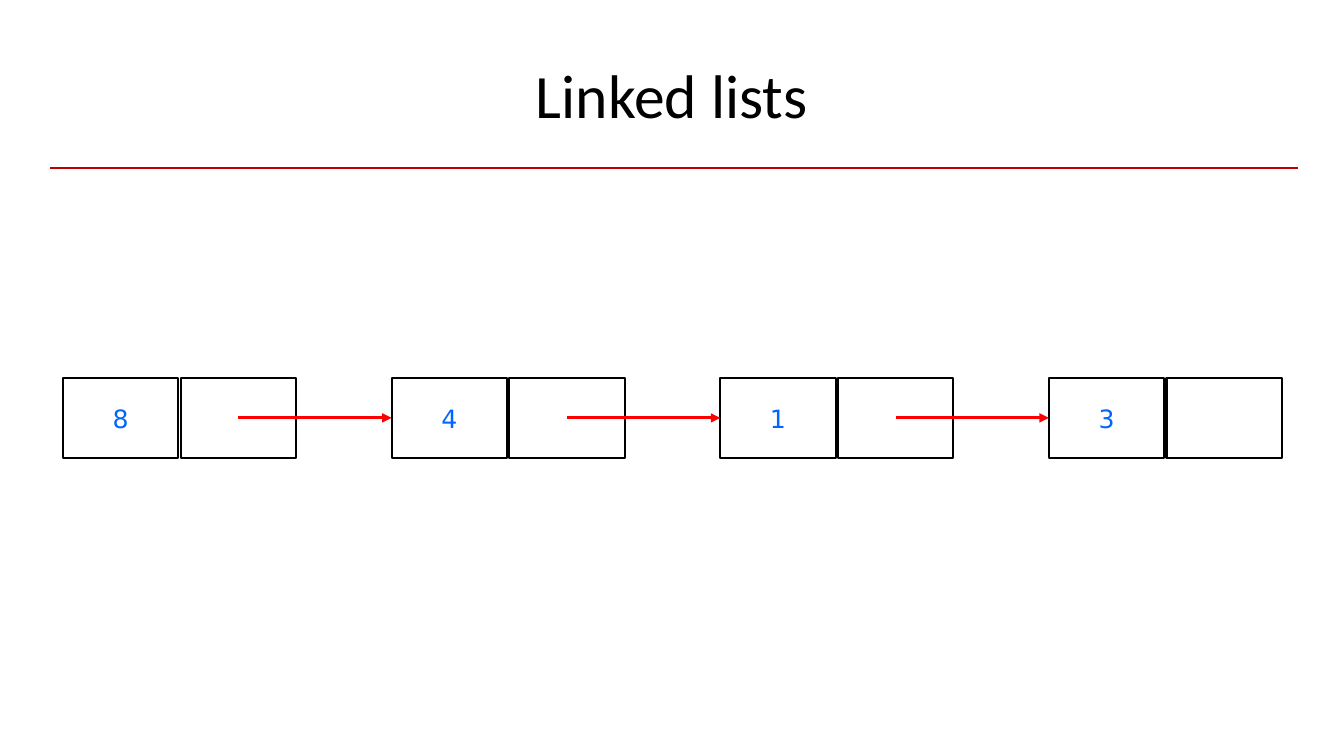
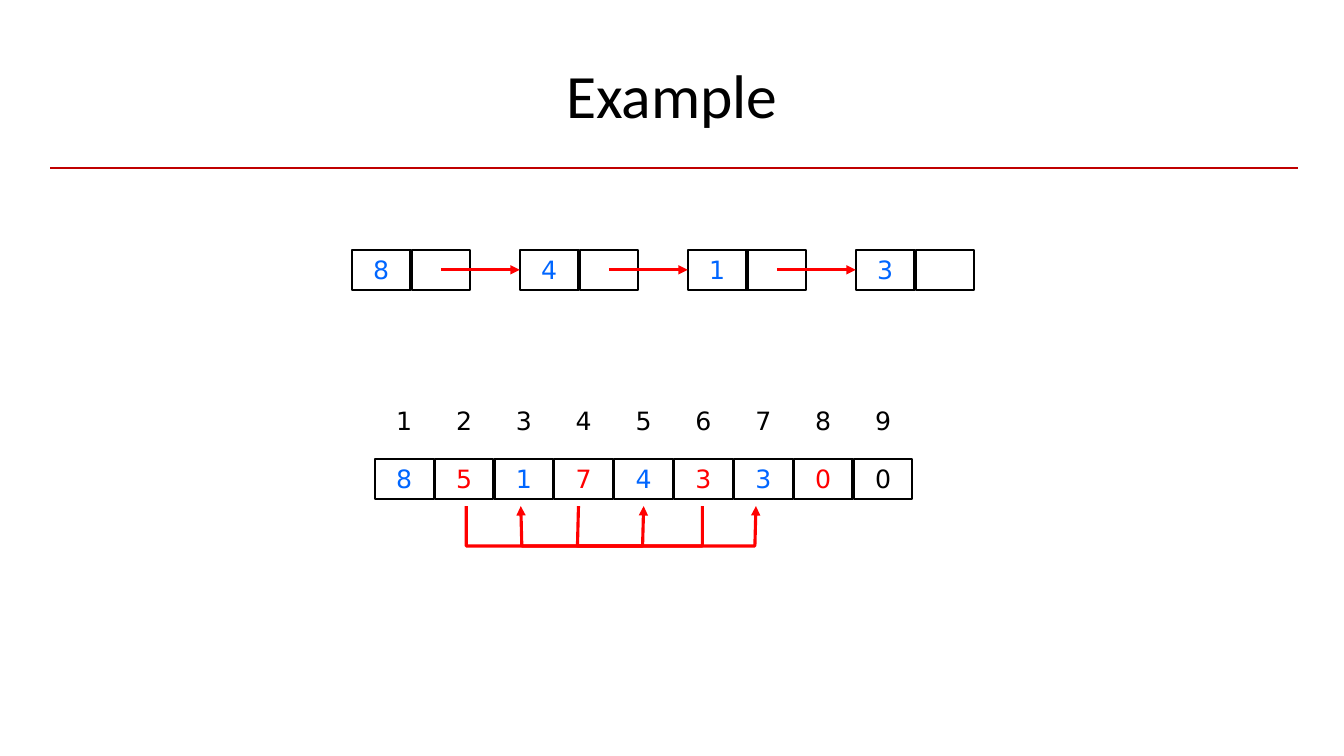
"""Build two slides on linked lists and their storage in an array."""
from dataclasses import dataclass
from itertools import cycle

from lxml.etree import SubElement
from pptx import Presentation
from pptx.dml.color import RGBColor
from pptx.enum.shapes import MSO_CONNECTOR, MSO_SHAPE
from pptx.enum.text import MSO_ANCHOR, PP_ALIGN
from pptx.oxml.ns import qn
from pptx.util import Pt

PX = 9525


@dataclass(frozen=True)
class Theme:
    """Colours, fonts, type sizes and line widths of the deck."""
    ink: RGBColor = RGBColor(0x00, 0x00, 0x00)
    value: RGBColor = RGBColor(0x00, 0x66, 0xFF)
    link: RGBColor = RGBColor(0xFF, 0x00, 0x00)
    rule: RGBColor = RGBColor(0xC0, 0x00, 0x00)
    title_font: str = "Calibri"
    cell_font: str = "DejaVu Sans"
    title_size: Pt = Pt(44)
    cell_size: Pt = Pt(18)
    rule_width: Pt = Pt(2)
    cell_width: Pt = Pt(1.5)
    link_width: Pt = Pt(2.25)


THEME = Theme()
CELL_FRAME = {"word_wrap": True, "vertical_anchor": MSO_ANCHOR.MIDDLE,
              "margin_left": 0, "margin_right": 0, "margin_top": 0, "margin_bottom": 0}


def px(*lengths):
    """Turn whole pixels into EMU."""
    return [n * PX for n in lengths]


def apply(target, values):
    """Set every named attribute on the target."""
    for name, value in values.items():
        setattr(target, name, value)


def write(sp, text, color, font=THEME.cell_font, size=THEME.cell_size):
    """Write one centred line in a shape."""
    tf = sp.text_frame
    apply(tf, CELL_FRAME)
    p = tf.paragraphs[0]
    p.alignment = PP_ALIGN.CENTER
    r = p.add_run()
    r.text = text
    apply(r.font, {"name": font, "size": size})
    r.font.color.rgb = color


def stroke(sp, color, width, arrow=False):
    """Give a shape a plain line, with an arrowhead at its end if asked."""
    sp.line.color.rgb = color
    sp.line.width = width
    if arrow:
        ln = sp.line._get_or_add_ln()
        SubElement(ln, qn("a:tailEnd"), type="triangle")


def add_label(shapes, box, text, color, **style):
    """Add text without an outline."""
    write(shapes.add_textbox(*px(*box)), text, color, **style)


def add_cell(shapes, box, text="", color=THEME.ink):
    """Add an outlined cell and return it."""
    sp = shapes.add_shape(MSO_SHAPE.RECTANGLE, *px(*box))
    sp.shadow.inherit = False
    sp.fill.background()
    stroke(sp, THEME.ink, THEME.cell_width)
    if text:
        write(sp, text, color)
    return sp


def add_line(shapes, ends, color, width, arrow=False):
    """Add a straight line and return it."""
    cn = shapes.add_connector(MSO_CONNECTOR.STRAIGHT, *px(*ends))
    stroke(cn, color, width, arrow)
    SubElement(cn._element.spPr, qn("a:effectLst"))
    return cn


def add_list(s, values, left, top, pitch, step, width, height):
    """Add a linked list of two-cell nodes joined by arrows."""
    shapes = s.shapes.add_group_shape().shapes
    lefts = [left + i * pitch for i in range(len(values))]
    heads = []
    for x, value in zip(lefts, values):
        heads.append(add_cell(shapes, (x, top, width, height), value, THEME.value))
        add_cell(shapes, (x + step, top, width, height))
    y = top + height // 2
    for x, following, head in zip(lefts, lefts[1:], heads[1:]):
        ends = (x + step + width // 2, y, following, y)
        cn = add_line(shapes, ends, THEME.link, THEME.link_width, arrow=True)
        cn.end_connect(head, 1)


def add_array(s, entries, left, top, label_top, pitch, width, height):
    """Add numbered cells that alternate values and links, ending in a plain one."""
    shapes = s.shapes.add_group_shape().shapes
    colors = cycle((THEME.value, THEME.link))
    for i, (entry, color) in enumerate(zip(entries, colors), start=1):
        x = left + (i - 1) * pitch
        color = THEME.ink if i == len(entries) else color
        add_cell(shapes, (x, top, width, height), entry, color)
        add_label(shapes, (x, label_top, width, height), str(i), THEME.ink)


def add_bracket(s, start, first_corner, second_corner, end, top, bottom):
    """Add a bent arrow that runs below the array from link to node."""
    fb = s.shapes.build_freeform(start, top, scale=PX)
    fb.add_line_segments(
        [(first_corner, bottom), (second_corner, bottom), (end, top)], close=False)
    sp = fb.convert_to_shape()
    sp.shadow.inherit = False
    sp.fill.background()
    stroke(sp, THEME.link, THEME.link_width, arrow=True)


def add_titled_slide(prs, title):
    """Add a slide with the shared title and rule."""
    s = prs.slides.add_slide(prs.slide_layouts[6])
    add_line(s.shapes, (48, 160, 1236, 160), THEME.rule, THEME.rule_width)
    add_label(s.shapes, (64, 29, 1152, 120), title, THEME.ink,
              font=THEME.title_font, size=THEME.title_size)
    return s


def main():
    """Build and save the deck."""
    prs = Presentation()
    prs.slide_width, prs.slide_height = px(1280, 720)
    values = "8413"

    s = add_titled_slide(prs, "Linked lists")
    add_list(s, values, left=60, top=360, pitch=313, step=112, width=110, height=76)

    s = add_titled_slide(prs, "Example")
    add_list(s, values, left=335, top=238, pitch=160, step=57, width=56, height=38)
    add_array(s, "851743300", left=357, top=437, label_top=381,
              pitch=57, width=56, height=38)
    for xs in ((444, 444, 612, 613), (669, 669, 497, 496), (551, 550, 719, 720)):
        add_bracket(s, *xs, top=482, bottom=520)

    prs.save("out.pptx")


if __name__ == "__main__":
    main()
